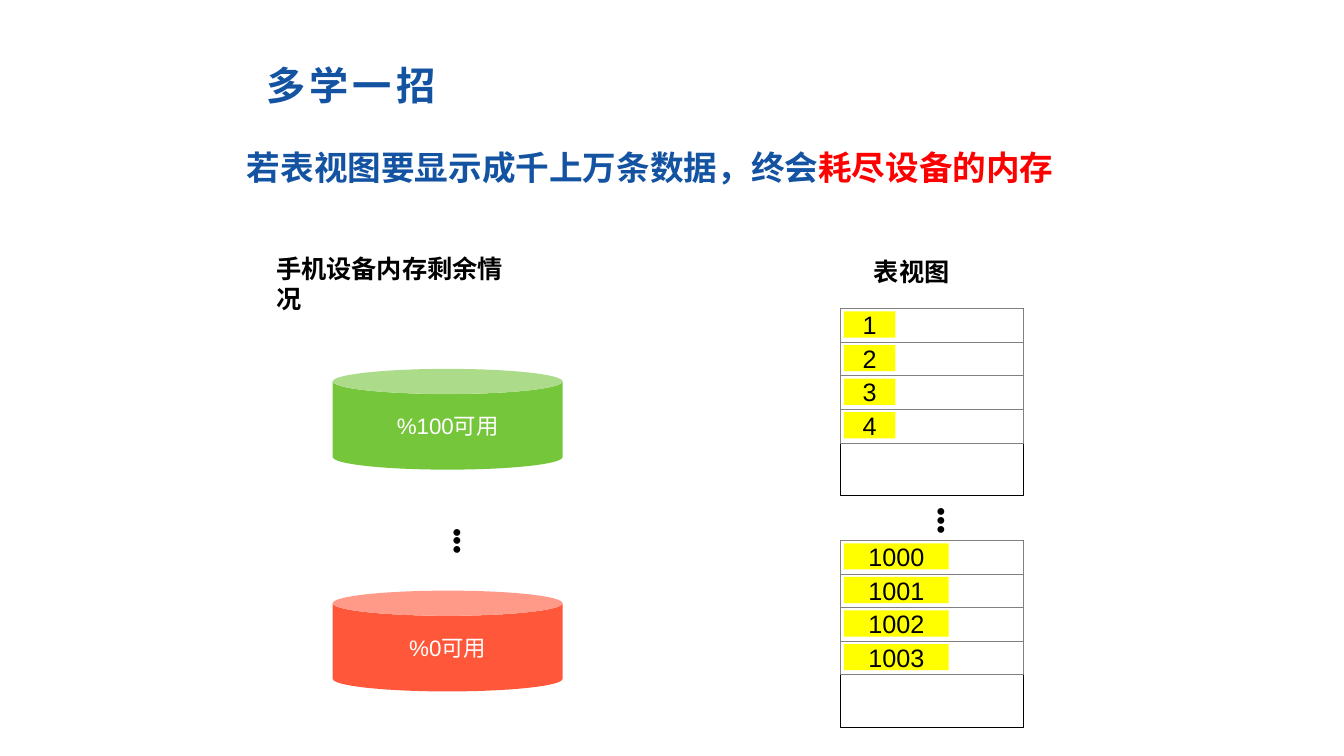
from pptx import Presentation
from pptx.dml.color import RGBColor
from pptx.enum.shapes import MSO_SHAPE as SHAPE
from pptx.enum.text import MSO_ANCHOR as ANCHOR, MSO_AUTO_SIZE as AUTO, PP_ALIGN as ALIGN
from pptx.oxml.ns import qn
from pptx.util import Inches, Pt

COLORS = {"blue": "1353A2", "red": "FF0000", "black": "000000", "white": "FFFFFF",
          "gray": "808080", "yellow": "FFFF00", "green": "76C63C", "orange": "FF5739"}
CJK, LATIN = "Noto Sans CJK SC", "Arial"
ROW_H = 1 / 3  # pitch of the table view's rows


def rgb(name):
    return RGBColor.from_string(COLORS[name])


def write(tf, *parts, size=18, font=LATIN, bold=False, align=ALIGN.LEFT,
          anchor=ANCHOR.TOP, wrap=True, spacing=None):
    """Write (text, colour) parts as runs of one paragraph."""
    tf.word_wrap, tf.vertical_anchor, tf.auto_size = wrap, anchor, AUTO.NONE
    p = tf.paragraphs[0]
    p.alignment = align
    for text, color in parts:
        r = p.add_run()
        r.text = text
        r.font.size, r.font.bold, r.font.name = Pt(size), bold, font
        r.font.color.rgb = rgb(color)
        rPr = r.font._element
        rPr.get_or_add_latin().addnext(rPr.makeelement(qn("a:ea"), {"typeface": CJK}))
        if spacing:
            rPr.set("spc", str(spacing * 100))


def add_text(shapes, box, *parts, **fmt):
    sp = shapes.add_textbox(*map(Inches, box))
    write(sp.text_frame, *parts, **fmt)
    return sp


def add_block(shapes, kind, box, fill=None, line=None):
    sp = shapes.add_shape(kind, *map(Inches, box))
    sp.shadow.inherit = False
    if fill:
        sp.fill.solid()
        sp.fill.fore_color.rgb = rgb(fill)
    else:
        sp.fill.background()
    if line:
        sp.line.color.rgb = rgb(line)
        sp.line.width = Pt(0.25)
    else:
        sp.line.fill.background()
    return sp


def add_dots(shapes, x, y):
    sp = add_text(shapes, (x, y, 0.5, 0.4), ("•••", "black"), wrap=False)
    sp.text_frame._txBody.bodyPr.set("vert", "eaVert")


def add_heading(s, x, y, w, h):
    # Title placeholder with the lead sentence below it
    title = s.shapes.title
    title.left, title.top, title.width, title.height = map(Inches, (x, y, w, h))
    write(title.text_frame, ("多学一招", "blue"), size=28, font=CJK, bold=True,
          anchor=ANCHOR.MIDDLE, spacing=3)
    add_text(s.shapes, (x - 0.19, y + 0.96, 10.98, 0.5),
             ("若表视图要显示成千上万条数据，终会", "blue"),
             ("耗尽设备的内存", "red"), size=24, font=CJK, bold=True)


def add_memory(s, x, y, w):
    # Two drums: memory free at the start and at the end
    add_text(s.shapes, (x, y, w, 0.4), ("手机设备内存剩余情况", "black"), bold=True)
    for dy, text, color in ((1.2, "%100可用", "green"), (3.4, "%0可用", "orange")):
        can = add_block(s.shapes, SHAPE.CAN, (x + 0.66, y + dy, 2.28, 1), fill=color)
        write(can.text_frame, (text, "white"), size=16, align=ALIGN.CENTER,
              anchor=ANCHOR.MIDDLE)
    add_dots(s.shapes, x + 1.61, y + 2.68)


def add_rows(s, x, y, w, h, first, label_w):
    # Frame with four numbered rows at its top
    add_block(s.shapes, SHAPE.RECTANGLE, (x, y, w, h), line="black")
    for i in range(4):
        top = y + i * ROW_H
        row = s.shapes.add_group_shape().shapes
        add_block(row, SHAPE.RECTANGLE, (x, top, w, ROW_H), line="gray")
        label = add_block(row, SHAPE.RECTANGLE, (x + 0.04, top + 0.03, label_w, 0.26),
                          fill="yellow")
        tf = label.text_frame
        tf.margin_left = tf.margin_right = tf.margin_top = tf.margin_bottom = 0
        write(tf, (str(first + i), "black"), align=ALIGN.CENTER, anchor=ANCHOR.MIDDLE)


def add_table_view(s, x, y, w):
    add_text(s.shapes, (x + 0.24, y, 0.96, 0.4), ("表视图", "black"),
             bold=True, wrap=False)
    add_rows(s, x, y + 0.57, w, 1.85, first=1, label_w=0.51)
    add_dots(s.shapes, x + 0.72, y + 2.45)
    add_rows(s, x, y + 2.87, w, 1.85, first=1000, label_w=1.04)


def main():
    prs = Presentation()
    prs.slide_width, prs.slide_height = Inches(13.33), Inches(7.5)
    s = prs.slides.add_slide(prs.slide_layouts[5])
    add_heading(s, 2.54, 0.45, 8.49, 0.79)
    add_memory(s, 2.64, 2.46, 2.66)
    add_table_view(s, 8.33, 2.49, 1.82)
    prs.save("out.pptx")


if __name__ == "__main__":
    main()
